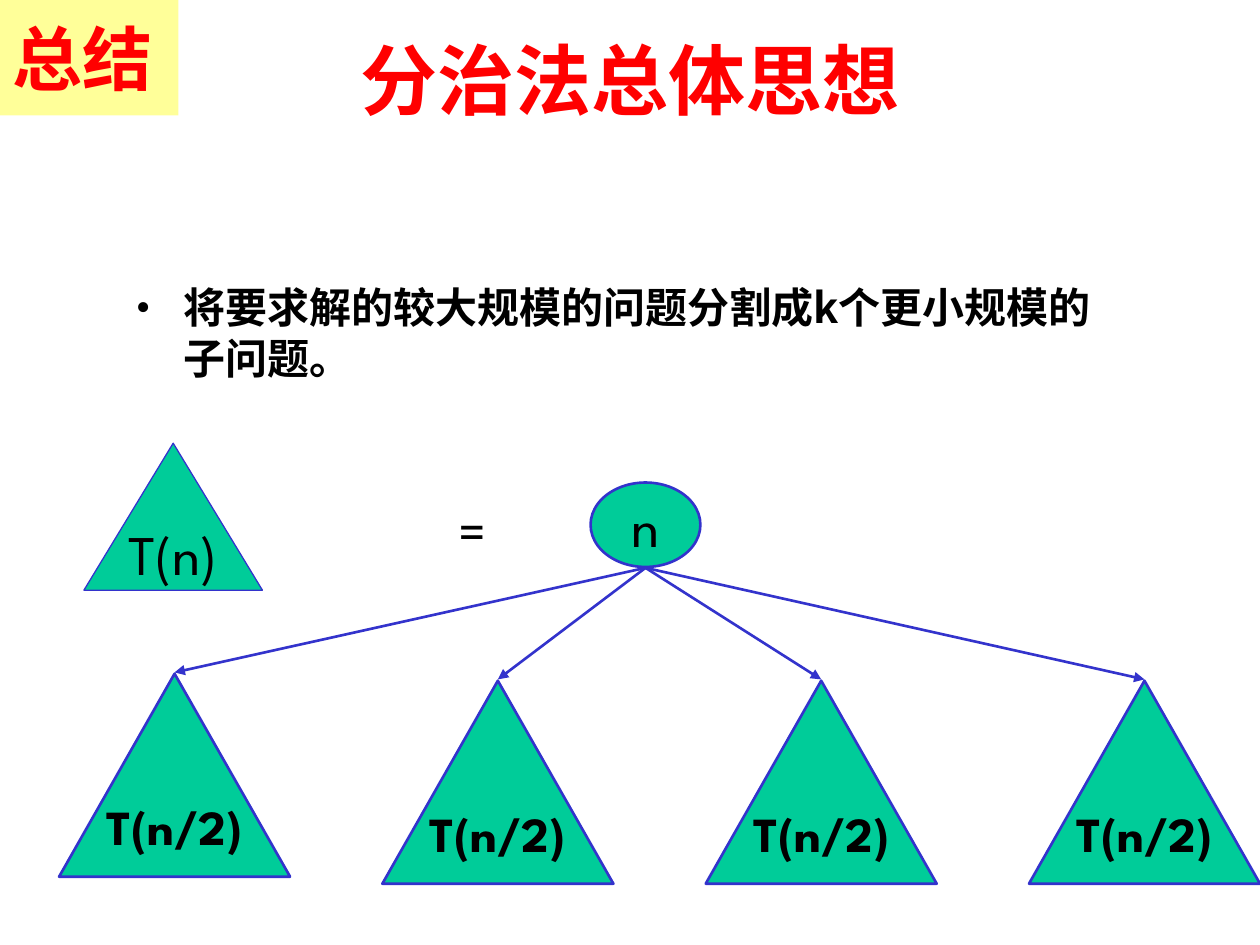
from dataclasses import dataclass

from lxml import etree
from pptx import Presentation
from pptx.dml.color import RGBColor
from pptx.enum.shapes import MSO_CONNECTOR, MSO_SHAPE
from pptx.enum.text import MSO_ANCHOR as ANCHOR, PP_ALIGN as ALIGN
from pptx.oxml.ns import qn
from pptx.util import Pt


@dataclass(frozen=True)
class Theme:
    black = RGBColor(0, 0, 0)
    red = RGBColor(0xFF, 0, 0)
    green = RGBColor(0, 0xCC, 0x99)
    blue = RGBColor(0x33, 0x33, 0xCC)
    yellow = RGBColor(0xFF, 0xFF, 0x99)
    cjk = "Noto Sans CJK SC"
    serif = "Times New Roman"
    label = "League Spartan"
    title, tag, node, leaf, body = Pt(44), Pt(40), Pt(32), Pt(28), Pt(24)
    line, thin = Pt(1.5), Pt(0.75)


T = Theme()


def write(sp, text, size, font, color=T.black, bold=False,
          align=ALIGN.CENTER, anchor=ANCHOR.MIDDLE, wrap=True):
    """Put one paragraph in a shape, with a CJK face for Chinese text."""
    tf = sp.text_frame
    tf.word_wrap, tf.vertical_anchor = wrap, anchor
    p = tf.paragraphs[0]
    p.text, p.alignment = text, align
    f = p.runs[0].font
    f.size, f.name, f.bold, f.color.rgb = size, font, bold, color
    if font != T.label:
        ea = etree.SubElement(p.runs[0]._r.get_or_add_rPr(), qn("a:ea"))
        ea.set("typeface", T.cjk)
    return p


def add_shape(kind, left, top, width, height, fill, line=None):
    sp = s.shapes.add_shape(kind, Pt(left), Pt(top), Pt(width), Pt(height))
    sp.shadow.inherit = False
    sp.fill.solid()
    sp.fill.fore_color.rgb = fill
    if line is None:
        sp.line.fill.background()
    else:
        sp.line.color.rgb, sp.line.width = T.blue, line
    return sp


prs = Presentation()
prs.slide_width, prs.slide_height = Pt(720), Pt(540)
s = prs.slides.add_slide(prs.slide_layouts[6])

# Statement and title
body = s.shapes.add_textbox(Pt(70.5), Pt(157.5), Pt(578), Pt(294.5))
p = write(body, "将要求解的较大规模的问题分割成k个更小规模的子问题。", T.body, T.cjk,
          bold=True, align=ALIGN.LEFT, anchor=ANCHOR.TOP)
pPr = p._p.get_or_add_pPr()
pPr.set("marL", str(Pt(27)))
pPr.set("indent", str(-Pt(27)))
etree.SubElement(pPr, qn("a:buFont")).set("typeface", T.serif)
etree.SubElement(pPr, qn("a:buChar")).set("char", "•")

title = s.shapes.add_textbox(Pt(54), Pt(0), Pt(612), Pt(90))
write(title, "分治法总体思想", T.title, T.serif, T.red, bold=True)

# Root node and the subproblems below it
root = add_shape(MSO_SHAPE.OVAL, 337.5, 275.75, 62.75, 48.25, T.green, T.line)
write(root, "n", T.node, T.label, wrap=False)

root_x, root_y = 368.9, 324.5
leaf_w, leaf_h, leaf_step = 132, 116, 184.75
leaves = [(33.75 + i * leaf_step, top)
          for i, top in enumerate((385, 389, 389, 389))]

for left, top in leaves:
    arrow = s.shapes.add_connector(MSO_CONNECTOR.STRAIGHT, Pt(root_x), Pt(root_y),
                                   Pt(left + leaf_w / 2), Pt(top - 0.75))
    arrow.line.color.rgb, arrow.line.width = T.blue, T.line
    etree.SubElement(arrow.line._get_or_add_ln(), qn("a:tailEnd")).set("type", "triangle")
    etree.SubElement(arrow._element.spPr, qn("a:effectLst"))

for left, top in leaves:
    leaf = add_shape(MSO_SHAPE.ISOSCELES_TRIANGLE, left, top, leaf_w, leaf_h, T.green, T.line)
    write(leaf, "T(n/2)", T.leaf, T.label, bold=True, wrap=False)

# Left side of the equation
whole = add_shape(MSO_SHAPE.ISOSCELES_TRIANGLE, 48, 253.25, 102, 84, T.green, T.thin)
write(whole, "T(n)", T.node, T.label, wrap=False)

equals = s.shapes.add_textbox(Pt(228), Pt(279.5), Pt(84), Pt(46))
write(equals, "=", T.node, T.label, anchor=ANCHOR.TOP)

# Corner tag
tag = add_shape(MSO_SHAPE.RECTANGLE, 0, 0, 102, 66, T.yellow)
write(tag, "总结", T.tag, T.cjk, T.red, bold=True, align=ALIGN.LEFT)

prs.save("out.pptx")
